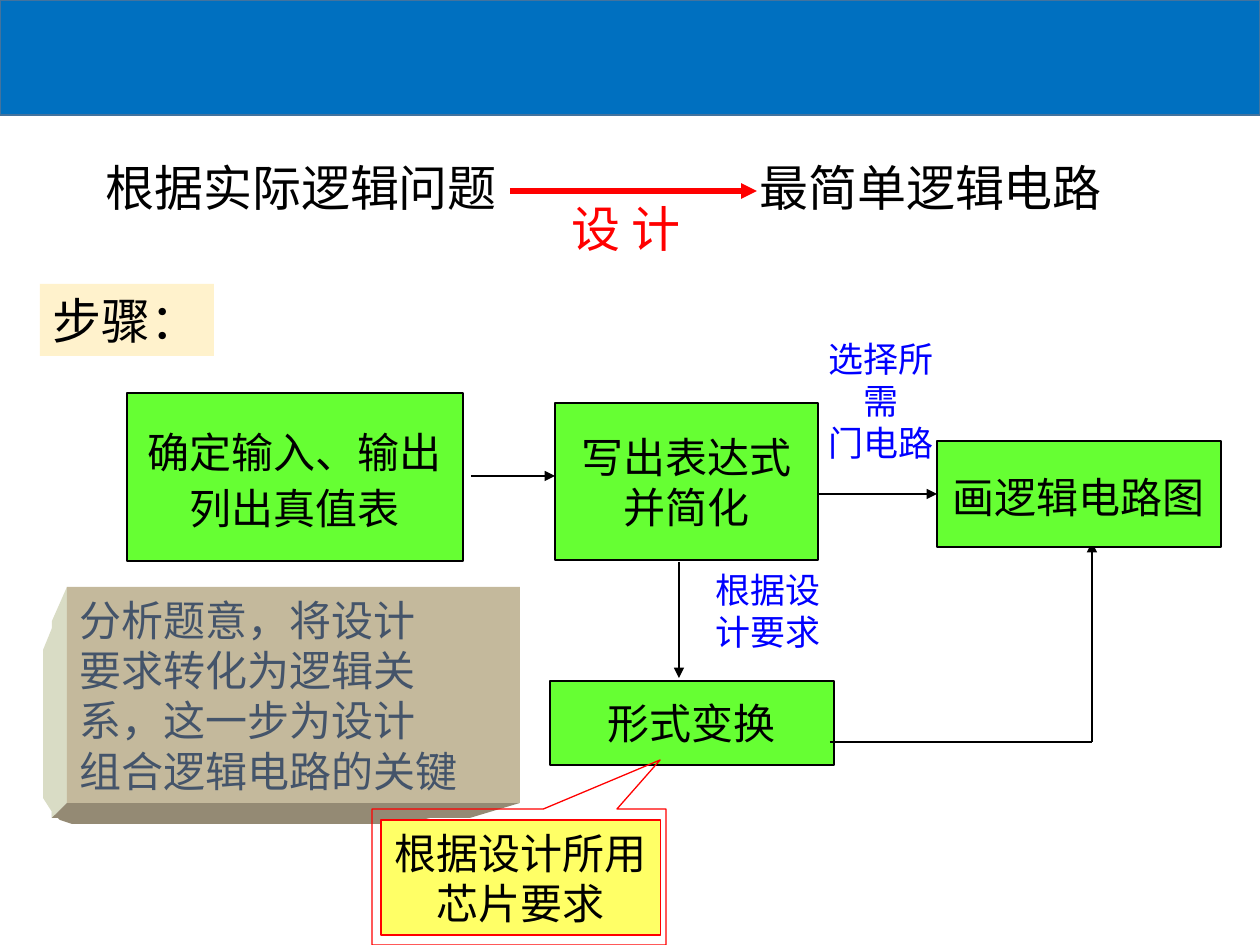
from lxml import etree
from pptx import Presentation
from pptx import util as u
from pptx.dml.color import RGBColor
from pptx.enum import shapes, text
from pptx.oxml.ns import qn

PX = 914400 // 126
BLACK, WHITE = RGBColor(0, 0, 0), RGBColor(255, 255, 255)
RED, BLUE = RGBColor(255, 0, 0), RGBColor(0, 0, 255)
BANNER, BANNER_EDGE = RGBColor(0, 0x70, 0xC0), RGBColor(0x43, 0x73, 0x9E)
GREEN, YELLOW = RGBColor(0x66, 0xFF, 0x33), RGBColor(0xFF, 0xFF, 0x66)
CREAM, SLATE = RGBColor(0xFF, 0xF2, 0xCC), RGBColor(0x44, 0x54, 0x6A)
TAN, TAN_LIGHT = RGBColor(0xC4, 0xB9, 0x9C), RGBColor(0xD9, 0xDC, 0xC5)
TAN_DARK = RGBColor(0x94, 0x8A, 0x74)
LATIN, SC, JP = "Calibri", "Noto Sans CJK SC", "Noto Sans CJK JP"
CENTER, LEFT = text.PP_ALIGN.CENTER, text.PP_ALIGN.LEFT
TOP, MIDDLE = text.MSO_ANCHOR.TOP, text.MSO_ANCHOR.MIDDLE

HEADINGS = [
    ((93, 151, 421, 72), "根据实际逻辑问题", BLACK),
    ((747, 151, 372, 72), "最简单逻辑电路", BLACK),
    ((559, 192, 179, 72), "设 计", RED),
]
STEPS = {
    "table": ((127, 393, 336, 168), ["确定输入、输出", "列出真值表"], 1.1),
    "expression": ((555, 403, 263, 157), ["写出表达式", "并简化"], 1),
    "transform": ((550, 681, 284, 84), ["形式变换"], 1),
    "circuit": ((937, 441, 284, 106), ["画逻辑电路图"], 1.1),
}
CONDITIONS = [
    ((689, 562, 159, 97), ["根据设", "计要求"]),
    ((799, 352, 165, 97), ["选择所需", "门电路"]),
]
KEY_POINT = ["分析题意，将设计", "要求转化为逻辑关", "系，这一步为设计", "组合逻辑电路的关键"]
CHIP_NOTE = ["根据设计所用", "芯片要求"]
SLAB_FACES = [
    ([(52, 628), (43, 650), (43, 798), (52, 812)], TAN_LIGHT),
    ([(52, 812), (60, 820), (72, 824), (405, 824), (430, 818), (52, 818)], TAN_DARK),
    ([(67, 587), (52, 621), (52, 818), (67, 803)], TAN_LIGHT),
    ([(67, 803), (520, 803), (470, 818), (52, 818)], TAN_DARK),
]
ARROWS = [
    ((510, 191), (757, 191), RED, 3, True, None),
    ((471, 476), (555, 476), BLACK, 0.75, True, None),
    ((679, 562), (679, 678), BLACK, 0.75, True, None),
    ((1092, 742), (1092, 542), BLACK, 0.75, True, None),
    ((830, 742), (1092, 742), BLACK, 0.75, False, None),
    ((819, 494), (937, 494), BLACK, 0.75, True, "circuit"),
]

prs = Presentation()
prs.slide_width, prs.slide_height = 1260 * PX, 945 * PX
slide = prs.slides.add_slide(prs.slide_layouts[6])


def paint(part, fill, edge=None):
    part.shadow.inherit = False
    if fill is None:
        part.fill.background()
    else:
        part.fill.solid()
        part.fill.fore_color.rgb = fill
    if edge is None:
        part.line.fill.background()
    else:
        part.line.color.rgb = edge
        part.line.width = u.Pt(0.75)
    return part


def add_block(box, fill, edge=None, kind=shapes.MSO_SHAPE.RECTANGLE):
    block = slide.shapes.add_shape(kind, *(n * PX for n in box))
    return paint(block, fill, edge)


def write(part, lines, size, color, align=CENTER, anchor=MIDDLE,
          latin=SC, asian=SC, spacing=1, wrap=False):
    frame = part.text_frame
    for name, value in {"word_wrap": wrap, "vertical_anchor": anchor}.items():
        setattr(frame, name, value)
    for i, line in enumerate(lines):
        paragraph = frame.paragraphs[0] if i == 0 else frame.add_paragraph()
        paragraph.alignment, paragraph.line_spacing = align, spacing
        run = paragraph.add_run()
        run.text = line
        for name, value in {"size": u.Pt(size), "name": latin}.items():
            setattr(run.font, name, value)
        run.font.color.rgb = color
        etree.SubElement(run.font._element, qn("a:ea"), typeface=asian)


def add_label(box, *args, **style):
    write(slide.shapes.add_textbox(*(n * PX for n in box)), *args, **style)


def add_arrow(start, end, color, width, headed, target):
    ends = [n * PX for n in start + end]
    arrow = slide.shapes.add_connector(shapes.MSO_CONNECTOR.STRAIGHT, *ends)
    arrow.line.color.rgb, arrow.line.width = color, u.Pt(width)
    if headed:
        etree.SubElement(arrow.line._get_or_add_ln(), qn("a:tailEnd"), type="triangle")
    etree.SubElement(arrow._element.spPr, qn("a:effectLst"))
    if target:
        arrow.end_connect(step_blocks[target], 1)


add_block((0, 0, 1260, 115), BANNER, BANNER_EDGE)
for box, heading, color in HEADINGS:
    add_label(box, [heading], 28, color, LEFT, TOP, JP, JP)
steps_tag = add_block((40, 284, 174, 72), CREAM)
write(steps_tag, ["步骤："], 28, BLACK, LEFT, TOP, LATIN)

for outline, color in SLAB_FACES:
    builder = slide.shapes.build_freeform(*outline[0], scale=PX)
    builder.add_line_segments(outline[1:])
    paint(builder.convert_to_shape(), color)
key_block = add_block((67, 587, 453, 216), TAN)
write(key_block, KEY_POINT, 24, SLATE, LEFT, wrap=True)

for arrow in ARROWS[:-2]:
    add_arrow(*arrow)
step_blocks = {}
for step, (box, lines, spacing) in STEPS.items():
    step_blocks[step] = add_block(box, GREEN, BLACK)
    write(step_blocks[step], lines, 24, BLACK, latin=LATIN, spacing=spacing)
for arrow in ARROWS[-2:]:
    add_arrow(*arrow)

for box, lines in CONDITIONS:
    add_label(box, lines, 20, BLUE)
callout = add_block((372, 809, 294, 136), None, RED,
                    shapes.MSO_SHAPE.RECTANGULAR_CALLOUT)
callout.adjustments[0], callout.adjustments[1] = 0.48, -0.86
write(add_block((381, 820, 280, 115), YELLOW, RED), CHIP_NOTE, 24, BLACK)

prs.save("out.pptx")
